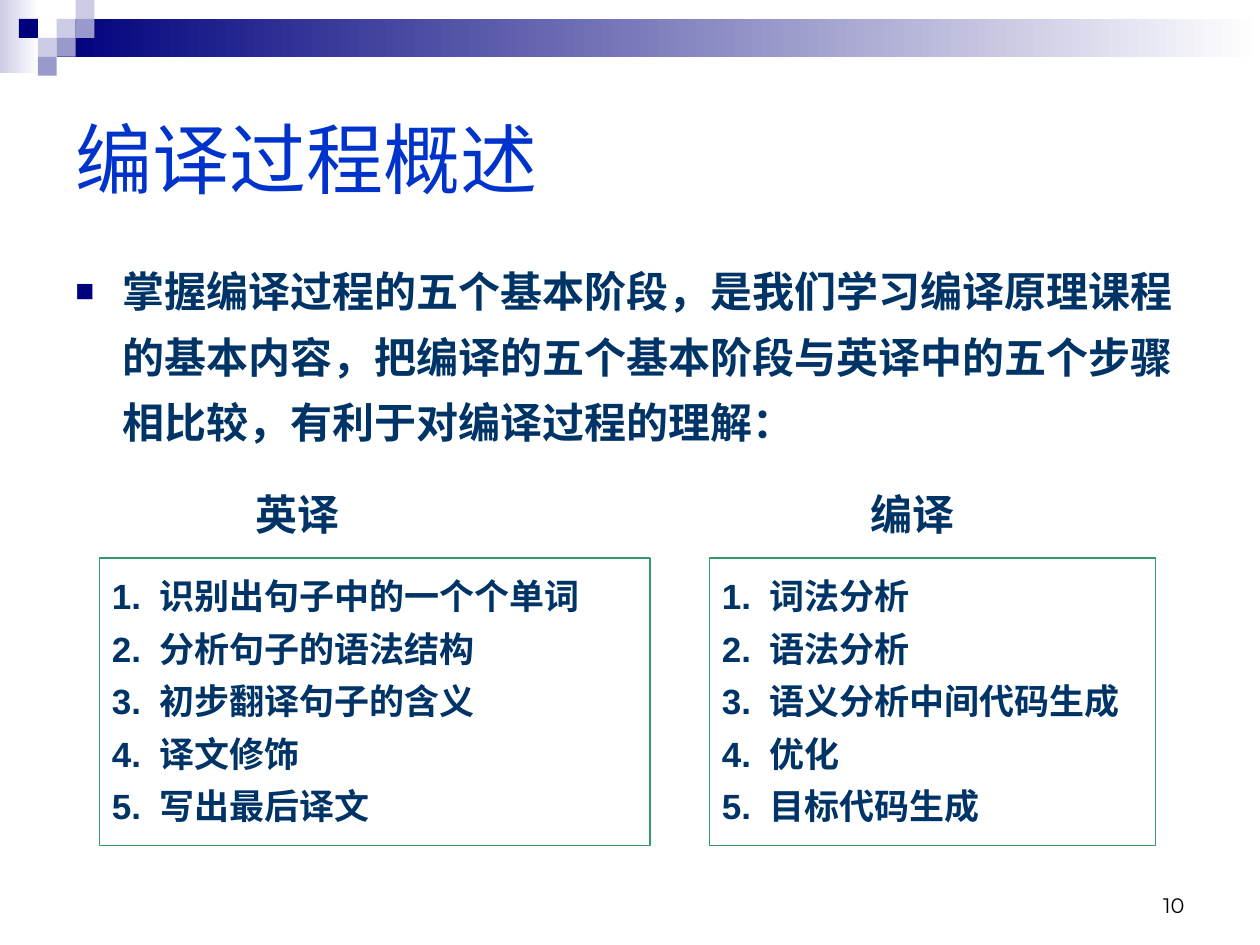
import pptx
import pptx.dml.color
import pptx.enum.shapes
import pptx.enum.text
import pptx.oxml
import pptx.oxml.ns
import pptx.util

Pt = pptx.util.Pt
ALIGN = pptx.enum.text.PP_ALIGN
ANCHOR = pptx.enum.text.MSO_ANCHOR
NAVY, LILAC, VIOLET, WHITE = "00007D", "CCCCE6", "9999CC", "FFFFFF"
BLUE, INK, GREEN, BLACK = "0033CC", "003366", "339966", "000000"
INDENT = 27


def rgb(value):
    """Turn a hex string into a colour."""
    return pptx.dml.color.RGBColor.from_string(value)


def add_block(slide, left, top, width, height):
    """Add a rectangle without shadow or outline."""
    block = slide.shapes.add_shape(
        pptx.enum.shapes.MSO_SHAPE.RECTANGLE, Pt(left), Pt(top), Pt(width), Pt(height))
    block.shadow.inherit = False
    block.line.fill.background()
    return block


def add_fade(slide, left, top, width, height, color):
    """Add a band that fades from a colour to white, left to right."""
    fill = add_block(slide, left, top, width, height).fill
    fill.gradient()
    fill.gradient_angle = 0
    for stop, position, shade in zip(fill.gradient_stops, (0, 1), (color, WHITE)):
        stop.position = position
        stop.color.rgb = rgb(shade)


def add_header(slide):
    """Add the fading bands and the mosaic at the top of the slide."""
    add_fade(slide, 0, 0, 22.3, 41.8, LILAC)
    add_fade(slide, 32.4, 10.8, 687.6, 21.6, NAVY)
    tile = 10.8
    mosaic = [(3, 1, LILAC), (4, 0, LILAC), (4, 1, VIOLET), (2, 2, LILAC),
              (1, 1, NAVY), (3, 2, VIOLET), (2, 3, VIOLET)]
    for column, row, color in mosaic:
        square = add_block(slide, column * tile, row * tile, tile, tile)
        square.fill.solid()
        square.fill.fore_color.rgb = rgb(color)


def write(shape, text, size, color, bold=False, font="Arial", align=ALIGN.LEFT,
          anchor=ANCHOR.TOP, wrap=True, spacing=1.0):
    """Fill a shape with text in one style."""
    frame = shape.text_frame
    frame.text = text
    frame.word_wrap = wrap
    frame.vertical_anchor = anchor
    for paragraph in frame.paragraphs:
        paragraph.alignment = align
        paragraph.line_spacing = spacing
        for run in paragraph.runs:
            run.font.size = Pt(size)
            run.font.bold = bold
            run.font.name = font
            run.font.color.rgb = rgb(color)
    return frame


def add_text(slide, left, top, width, height, text, size, color, **style):
    """Add a text box in one style."""
    box = slide.shapes.add_textbox(Pt(left), Pt(top), Pt(width), Pt(height))
    return write(box, text, size, color, **style)


def hang(paragraph):
    """Give a paragraph a hanging indent."""
    properties = paragraph._p.get_or_add_pPr()
    properties.set("marL", str(Pt(INDENT)))
    properties.set("indent", str(-Pt(INDENT)))
    return properties


def add_bullet(paragraph):
    """Give a paragraph a small square bullet."""
    properties = hang(paragraph)
    namespace = pptx.oxml.ns.nsdecls("a")
    for element in (f'<a:buClr {namespace}><a:srgbClr val="{NAVY}"/></a:buClr>',
                    f'<a:buSzPct {namespace} val="75000"/>',
                    f'<a:buFont {namespace} typeface="Arial"/>',
                    f'<a:buChar {namespace} char="■"/>'):
        properties.append(pptx.oxml.parse_xml(element))


def add_steps(slide, left, width, steps):
    """Add an outlined box of numbered steps."""
    panel = add_block(slide, left, 319, width, 164.2)
    panel.fill.background()
    panel.line.color.rgb = rgb(GREEN)
    panel.line.width = Pt(1)
    numbered = "\n".join(f"{number}.\t{step}" for number, step in enumerate(steps, 1))
    frame = write(panel, numbered, 20, INK, bold=True, spacing=1.25)
    for paragraph in frame.paragraphs:
        hang(paragraph)


def main():
    """Build the slide and save it."""
    deck = pptx.Presentation()
    deck.slide_width, deck.slide_height = Pt(720), Pt(540)
    slide = deck.slides.add_slide(deck.slide_layouts[6])
    add_header(slide)
    add_text(slide, 36, 36, 648, 108, "编译过程概述", 44, BLUE, anchor=ANCHOR.MIDDLE)
    summary = add_text(
        slide, 36, 139.7, 648, 131,
        "掌握编译过程的五个基本阶段，是我们学习编译原理课程的基本内容，"
        "把编译的五个基本阶段与英译中的五个步骤相比较，有利于对编译过程的理解：",
        24, INK, bold=True, spacing=1.3)
    add_bullet(summary.paragraphs[0])
    add_steps(slide, 56.9, 314.6, ["识别出句子中的一个个单词", "分析句子的语法结构",
                                   "初步翻译句子的含义", "译文修饰", "写出最后译文"])
    add_steps(slide, 405.4, 254.9, ["词法分析", "语法分析", "语义分析中间代码生成",
                                    "优化", "目标代码生成"])
    for left, heading in ((138, "英译"), (489.3, "编译")):
        add_text(slide, left, 275.8, 64, 36, heading, 24, INK, bold=True,
                 align=ALIGN.CENTER, wrap=False)
    add_text(slide, 516, 491.8, 168, 36, "10", 12, BLACK, font="Montserrat",
             align=ALIGN.RIGHT, anchor=ANCHOR.BOTTOM)
    deck.save("out.pptx")


if __name__ == "__main__":
    main()
